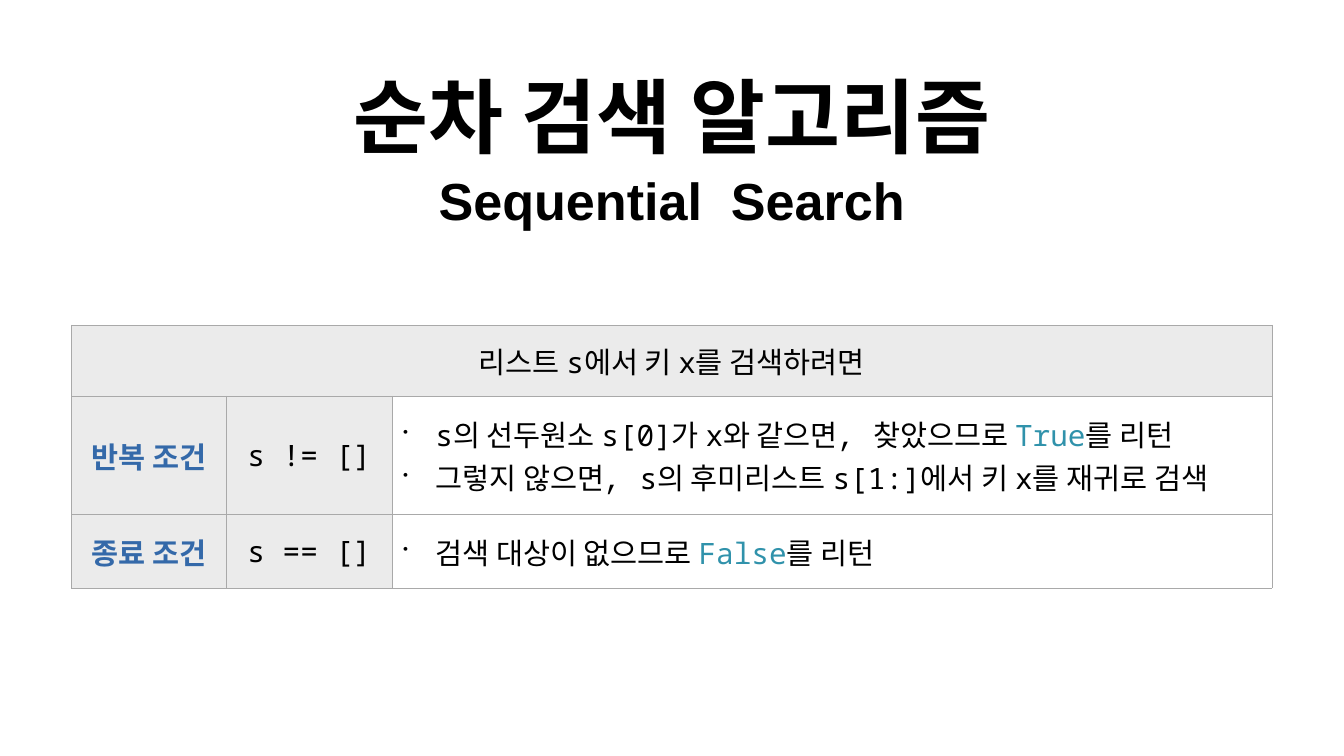
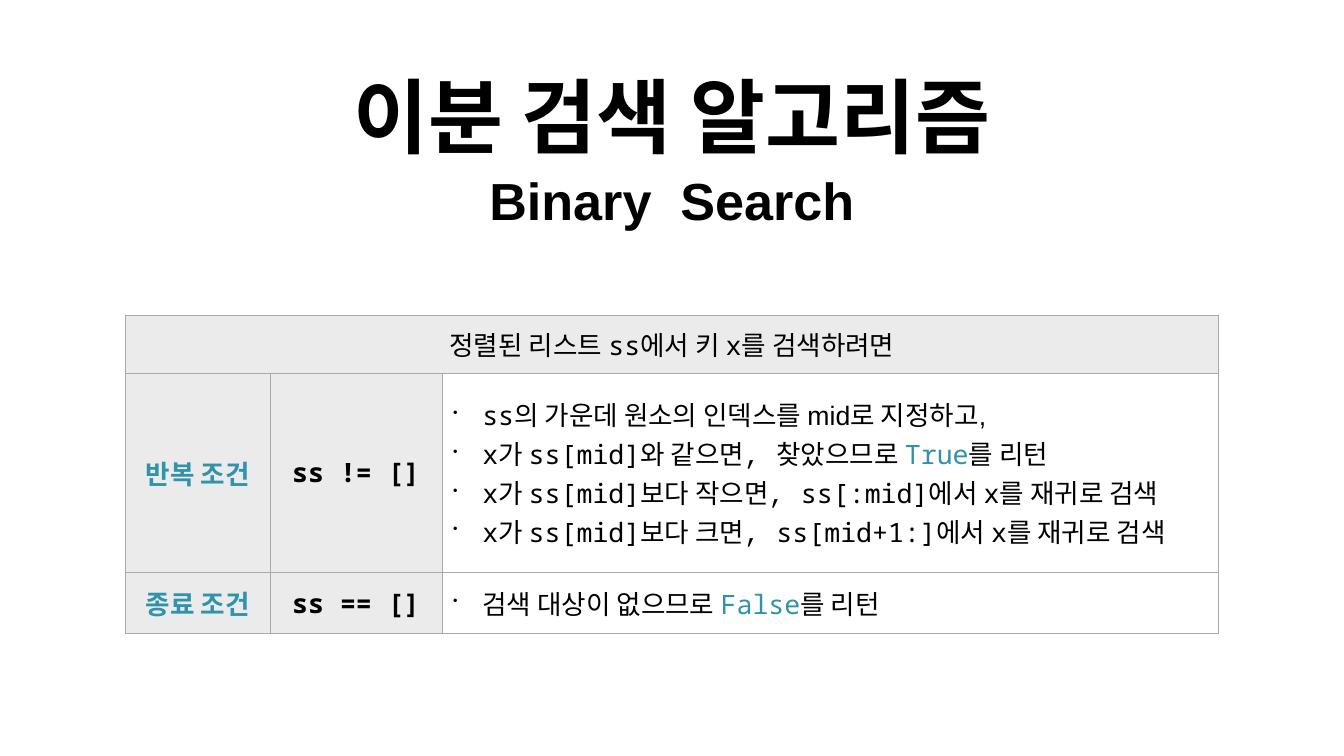
from dataclasses import dataclass

from lxml import etree
from pptx import Presentation
from pptx.dml.color import RGBColor
from pptx.enum.text import MSO_ANCHOR, PP_ALIGN
from pptx.oxml.ns import qn
from pptx.util import Inches, Pt

CENTER, LEFT = PP_ALIGN.CENTER, PP_ALIGN.LEFT
MIDDLE, BOTTOM = MSO_ANCHOR.MIDDLE, MSO_ANCHOR.BOTTOM


@dataclass(frozen=True)
class Theme:
    white: str = "FFFFFF"
    ink: str = "000000"
    shade: str = "EBEBEB"
    border: str = "A9A9A9"
    blue: str = "3469A9"
    teal: str = "3092AB"
    sans: str = "Arial"
    typed: str = "Courier New"
    mono: str = "Noto Sans Mono"
    title_size: float = 116.4
    subtitle_size: float = 74.5
    border_width: float = 1
    inset: float = 0.06


THEME = Theme()
PAGE_WIDTH, PAGE_HEIGHT = 26.67, 15
TITLE_BOX = (6.33, 1.16, 14, 2.16)
SUBTITLE_BOX = (8.37, 3.3, 9.93, 1.36)


@dataclass(frozen=True)
class Span:
    text: str
    font: str
    color: str = THEME.ink
    bold: bool = False


def sans(text):
    return Span(text, THEME.sans)


def typed(text):
    return Span(text, THEME.typed)


def code(text, bold=False):
    return Span(text, THEME.mono, bold=bold)


def value(text):
    return Span(text, THEME.mono, THEME.teal)


def heading(text, color=THEME.ink):
    return Span(text, THEME.sans, color, True)


def write_spans(para, spans, size, align=CENTER):
    para.alignment = align
    for span in spans:
        run = para.add_run()
        run.text = span.text
        run.font.name = span.font
        run.font.size = Pt(size)
        run.font.bold = span.bold
        run.font.color.rgb = RGBColor.from_string(span.color)


def set_insets(target):
    for side in ("left", "right", "top", "bottom"):
        setattr(target, f"margin_{side}", Inches(THEME.inset))


def add_heading(page, box, text, size, line_spacing=1.0):
    shape = page.shapes.add_textbox(*map(Inches, box))
    shape.fill.solid()
    shape.fill.fore_color.rgb = RGBColor.from_string(THEME.white)
    frame = shape.text_frame
    frame.word_wrap = True
    frame.vertical_anchor = BOTTOM
    set_insets(frame)
    para = frame.paragraphs[0]
    para.line_spacing = line_spacing
    write_spans(para, [heading(text)], size)


def add_bullet(para, indent, hanging):
    props = para._p.get_or_add_pPr()
    props.set("marL", str(Inches(indent)))
    props.set("indent", str(-Inches(hanging)))
    etree.SubElement(props, qn("a:buSzPct"), val="50000")
    etree.SubElement(props, qn("a:buChar"), char="•")


def draw_borders(cell):
    props = cell._tc.get_or_add_tcPr()
    for index, edge in enumerate(("a:lnL", "a:lnR", "a:lnT", "a:lnB")):
        line = etree.Element(qn(edge), w=str(Pt(THEME.border_width)))
        fill = etree.SubElement(line, qn("a:solidFill"))
        etree.SubElement(fill, qn("a:srgbClr"), val=THEME.border)
        props.insert(index, line)


def style_cell(cell, shaded):
    cell.vertical_anchor = MIDDLE
    set_insets(cell)
    if shaded:
        cell.fill.solid()
        cell.fill.fore_color.rgb = RGBColor.from_string(THEME.shade)
    else:
        cell.fill.background()
    draw_borders(cell)


def fill_steps(cell, steps, size, indent, hanging):
    frame = cell.text_frame
    for index, spans in enumerate(steps):
        para = frame.add_paragraph() if index else frame.paragraphs[0]
        write_spans(para, spans, size, LEFT)
        add_bullet(para, indent, hanging)


def add_rule_table(page, origin, columns, heights, size, bullet, goal, rules):
    box = (*origin, sum(columns), sum(heights))
    table = page.shapes.add_table(
        len(heights), len(columns), *map(Inches, box)).table
    table.first_row = table.horz_banding = False
    for column, width in zip(table.columns, columns):
        column.width = Inches(width)
    for row_index, (row, height) in enumerate(zip(table.rows, heights)):
        row.height = Inches(height)
        for column_index, cell in enumerate(row.cells):
            style_cell(cell, row_index == 0 or column_index < 2)
    table.cell(0, 0).merge(table.cell(0, len(columns) - 1))
    write_spans(table.cell(0, 0).text_frame.paragraphs[0], goal, size)
    for row_index, (label, condition, steps) in enumerate(rules, 1):
        for column_index, span in enumerate((label, condition)):
            cell = table.cell(row_index, column_index)
            write_spans(cell.text_frame.paragraphs[0], [span], size)
        fill_steps(table.cell(row_index, 2), steps, size, *bullet)


def add_algorithm_page(deck, title, subtitle, **table):
    page = deck.slides.add_slide(deck.slide_layouts[6])
    add_heading(page, TITLE_BOX, title, THEME.title_size)
    add_heading(page, SUBTITLE_BOX, subtitle, THEME.subtitle_size, 0.9)
    add_rule_table(page, **table)


def search_rules(name, label_color, bold, steps):
    stop = [sans("검색 대상이 없으므로 "), value("False"), sans("를 리턴")]
    return [
        (heading("반복 조건", label_color), code(f"{name} != []", bold), steps),
        (heading("종료 조건", label_color), code(f"{name} == []", bold), [stop]),
    ]


def search_goal(lead, name):
    return [typed(lead), code(name), typed("에서 키 "), code("x"),
            typed("를 검색하려면")]


def found_step(lead):
    return lead + [typed("와 같으면, 찾았으므로 "), value("True"),
                   typed("를 리턴")]


def half_step(comparison, half):
    return [code("x"), typed("가 "), code("ss[mid]"), typed(comparison),
            code(half), typed("에서 "), code("x"), typed("를 재귀로 검색")]


def main():
    deck = Presentation()
    deck.slide_width, deck.slide_height = Inches(PAGE_WIDTH), Inches(PAGE_HEIGHT)

    sequential_steps = [
        found_step([code("s"), typed("의 선두원소 "), code("s[0]"),
                    typed("가 "), code("x")]),
        [typed("그렇지 않으면, "), code("s"), typed("의 후미리스트 "),
         code("s[1:]"), typed("에서 키 "), code("x"), typed("를 재귀로 검색")],
    ]
    add_algorithm_page(
        deck, "순차 검색 알고리즘", "Sequential  Search",
        origin=(1.42, 6.45), columns=(3.07, 3.29, 17.46),
        heights=(1.41, 2.35, 1.46), size=42, bullet=(0.8, 0.64),
        goal=search_goal("리스트 ", "s"),
        rules=search_rules("s", THEME.blue, False, sequential_steps))

    binary_steps = [
        [code("ss"), sans("의 가운데 원소의 인덱스를 mid로 지정하고,")],
        found_step([code("x"), typed("가 "), code("ss[mid]")]),
        half_step("보다 작으면, ", "ss[:mid]"),
        half_step("보다 크면, ", "ss[mid+1:]"),
    ]
    add_algorithm_page(
        deck, "이분 검색 알고리즘", "Binary  Search",
        origin=(2.49, 6.25), columns=(2.87, 3.41, 15.41),
        heights=(1.15, 3.95, 1.22), size=38, bullet=(0.74, 0.58),
        goal=search_goal("정렬된 리스트 ", "ss"),
        rules=search_rules("ss", THEME.teal, True, binary_steps))

    deck.save("out.pptx")


if __name__ == "__main__":
    main()
